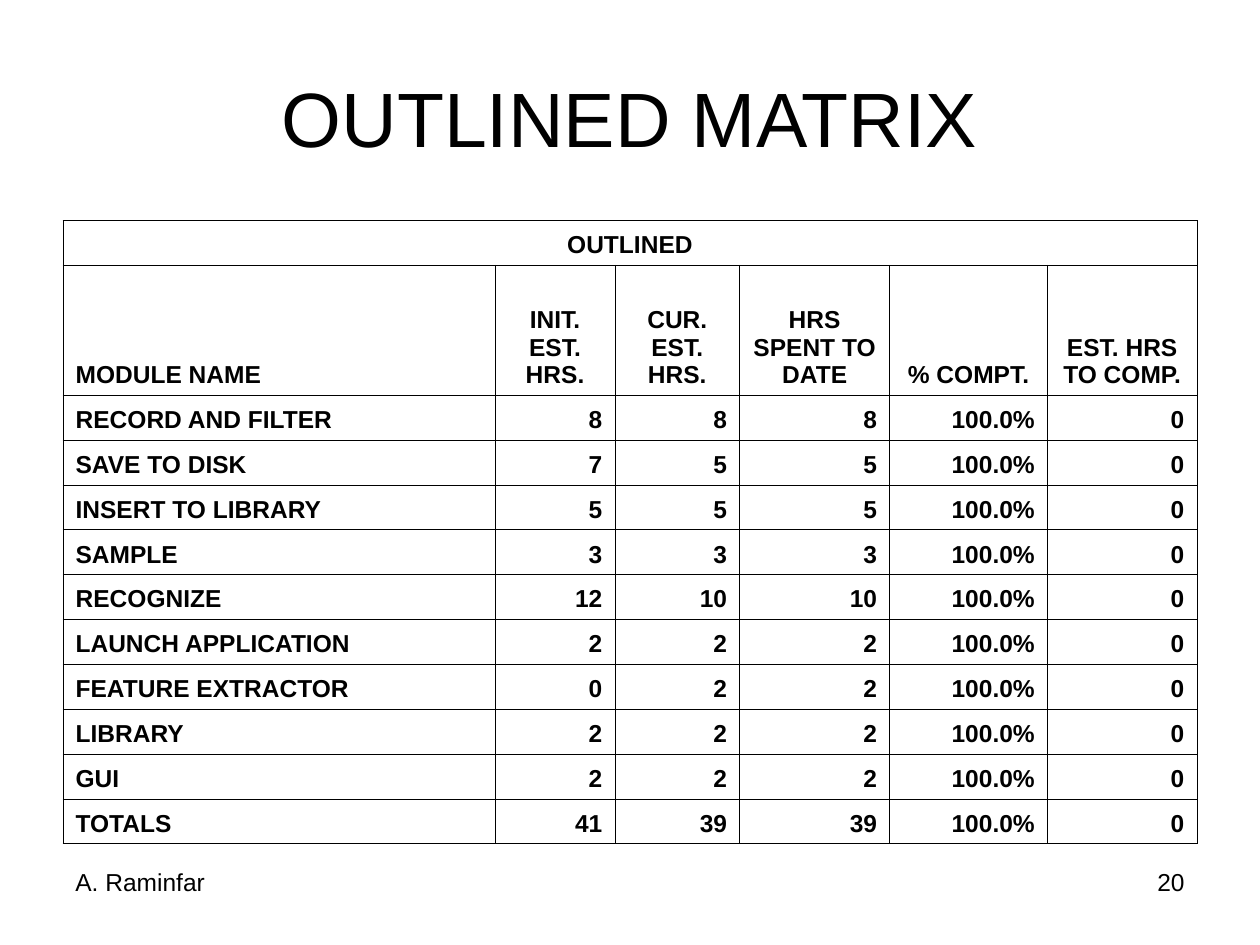
from lxml.etree import SubElement
from pptx import Presentation
from pptx.dml.color import RGBColor
from pptx.enum.text import MSO_ANCHOR, PP_ALIGN
from pptx.oxml.ns import qn
from pptx.util import Pt

# Content
TITLE = "OUTLINED MATRIX"
AUTHOR = "A. Raminfar"
PAGE_NUMBER = "20"
TABLE_TITLE = "OUTLINED"
HEADINGS = ("MODULE NAME", "INIT. EST. HRS.", "CUR. EST. HRS.",
            "HRS SPENT TO DATE", "% COMPT.", "EST. HRS TO COMP.")
MODULES = [
    ("RECORD AND FILTER", "8", "8", "8", "100.0%", "0"),
    ("SAVE TO DISK", "7", "5", "5", "100.0%", "0"),
    ("INSERT TO LIBRARY", "5", "5", "5", "100.0%", "0"),
    ("SAMPLE", "3", "3", "3", "100.0%", "0"),
    ("RECOGNIZE", "12", "10", "10", "100.0%", "0"),
    ("LAUNCH APPLICATION", "2", "2", "2", "100.0%", "0"),
    ("FEATURE EXTRACTOR", "0", "2", "2", "100.0%", "0"),
    ("LIBRARY", "2", "2", "2", "100.0%", "0"),
    ("GUI", "2", "2", "2", "100.0%", "0"),
    ("TOTALS", "41", "39", "39", "100.0%", "0"),
]

# Layout and style, in points
MARGIN, CONTENT_WIDTH = 36, 648
COLUMN_WIDTHS = (247, 68.4, 71.3, 85.7, 90.2, 85.4)
ROW_HEIGHT, HEADING_HEIGHT = 25.65, 74.25
FOOTER_TOP, FOOTER_WIDTH, FOOTER_HEIGHT = 492, 168, 37.5
BORDER_WIDTH = 0.45
FONT = "Arial"
BLACK = RGBColor(0, 0, 0)


def write(frame, text, size, align, bold=False):
    frame.text = text
    para = frame.paragraphs[0]
    para.alignment = align
    for span in para.runs:
        span.font.name = FONT
        span.font.size = Pt(size)
        span.font.bold = bold
        span.font.color.rgb = BLACK


def add_text(page, text, left, top, width, height, size, align,
             anchor=MSO_ANCHOR.TOP):
    box = page.shapes.add_textbox(Pt(left), Pt(top), Pt(width), Pt(height))
    box.text_frame.word_wrap = True
    box.text_frame.vertical_anchor = anchor
    write(box.text_frame, text, size, align)


def add_borders(cell):
    properties = cell._tc.get_or_add_tcPr()
    for side in ("a:lnL", "a:lnR", "a:lnT", "a:lnB"):
        line = SubElement(properties, qn(side), w=str(int(Pt(BORDER_WIDTH))))
        fill = SubElement(line, qn("a:solidFill"))
        SubElement(fill, qn("a:srgbClr"), val=str(BLACK))


def add_matrix(page):
    rows = [(TABLE_TITLE,) + ("",) * (len(HEADINGS) - 1), HEADINGS, *MODULES]
    heights = [ROW_HEIGHT, HEADING_HEIGHT] + [ROW_HEIGHT] * len(MODULES)
    table = page.shapes.add_table(
        len(rows), len(HEADINGS), Pt(MARGIN), Pt(126),
        Pt(CONTENT_WIDTH), Pt(sum(heights))).table
    table.first_row = table.horz_banding = False
    for column, width in zip(table.columns, COLUMN_WIDTHS):
        column.width = Pt(width)
    for r, (values, height) in enumerate(zip(rows, heights)):
        table.rows[r].height = Pt(height)
        for c, value in enumerate(values):
            cell = table.cell(r, c)
            cell.vertical_anchor = MSO_ANCHOR.BOTTOM
            add_borders(cell)
            cell.fill.background()
            if r == 0 or (r == 1 and c > 0):
                align = PP_ALIGN.CENTER
            else:
                align = PP_ALIGN.RIGHT if c else PP_ALIGN.LEFT
            write(cell.text_frame, value, 14, align, bold=True)
    table.cell(0, 0).merge(table.cell(0, len(HEADINGS) - 1))


def main():
    deck = Presentation()
    deck.slide_width, deck.slide_height = Pt(720), Pt(540)
    page = deck.slides.add_slide(deck.slide_layouts[6])

    # Title
    add_text(page, TITLE, MARGIN, 21.6, CONTENT_WIDTH, 90, 44,
             PP_ALIGN.CENTER, MSO_ANCHOR.MIDDLE)
    # Hours by module
    add_matrix(page)
    # Footer
    number_left = MARGIN + CONTENT_WIDTH - FOOTER_WIDTH
    for text, left, align in ((PAGE_NUMBER, number_left, PP_ALIGN.RIGHT),
                              (AUTHOR, MARGIN, PP_ALIGN.LEFT)):
        add_text(page, text, left, FOOTER_TOP, FOOTER_WIDTH, FOOTER_HEIGHT,
                 14, align)

    deck.save("out.pptx")


if __name__ == "__main__":
    main()
